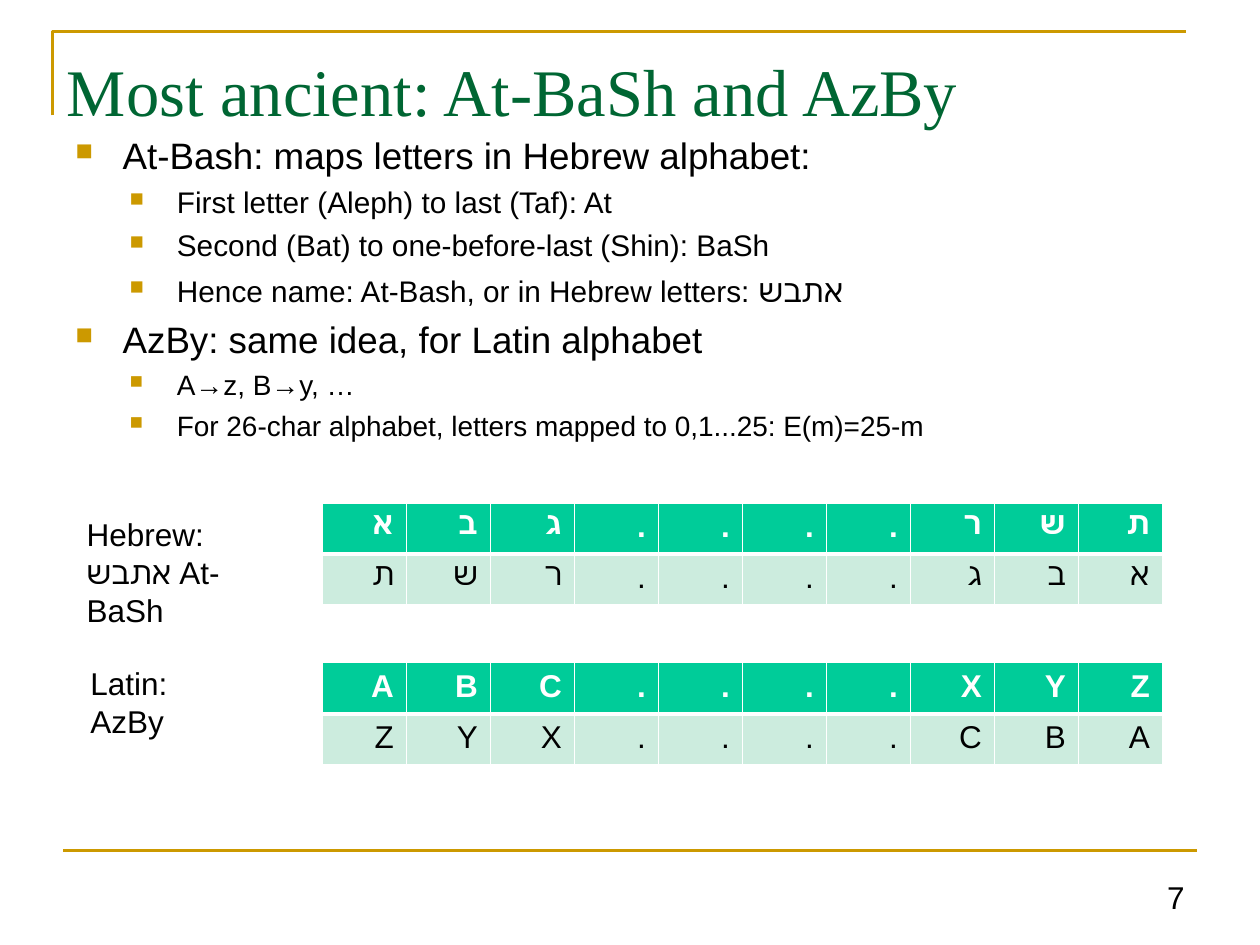
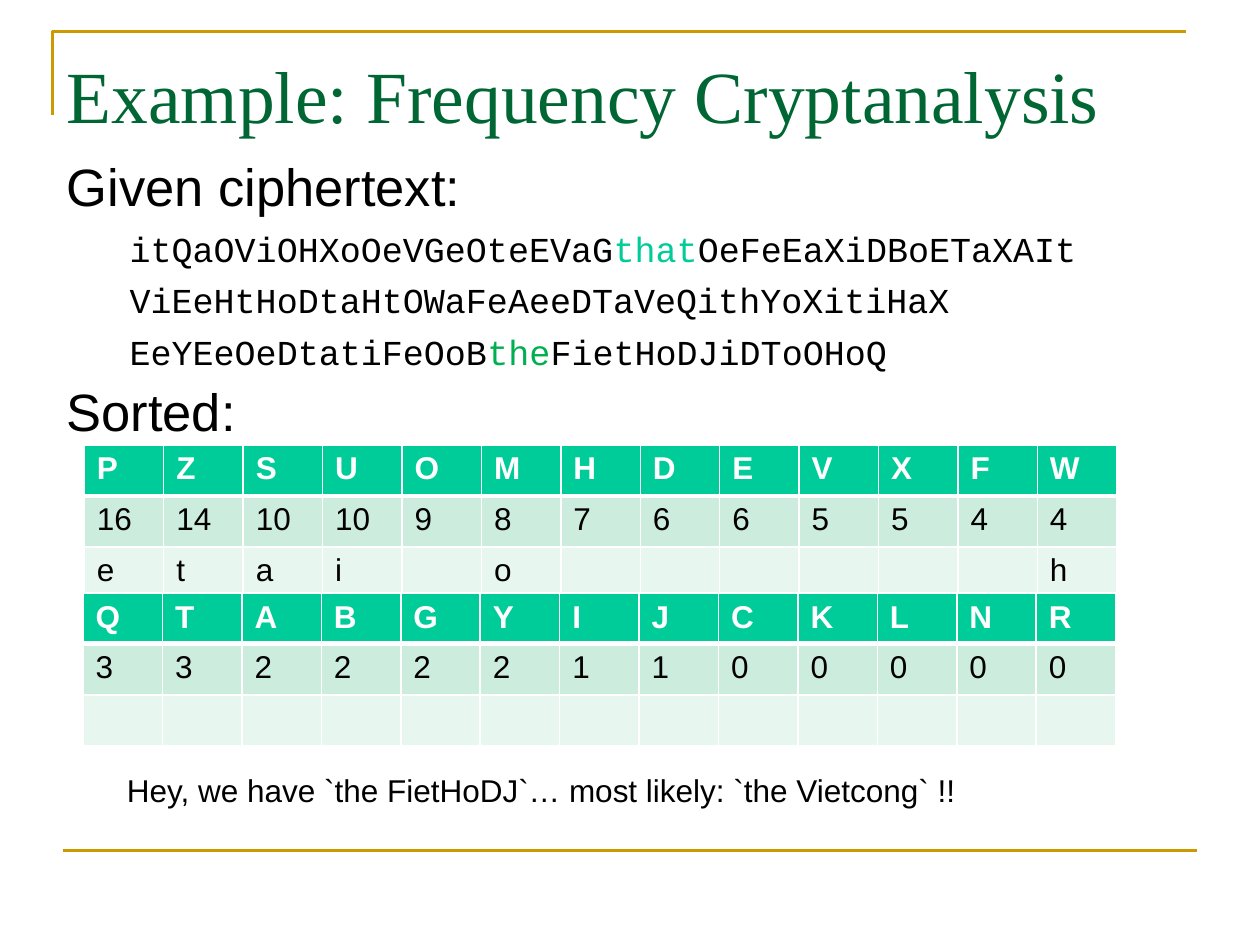
from dataclasses import dataclass
from typing import Optional

from lxml import etree
from pptx import Presentation
from pptx.dml.color import RGBColor
from pptx.enum import shapes, text
from pptx.oxml import ns
from pptx.util import Pt

COLORS = {
    "title": "006633",
    "rule": "CC9900",
    "ink": "000000",
    "white": "FFFFFF",
    "header": "00CC99",
    "band_dark": "CCECDE",
    "band_light": "E7F6EF",
    "found_that": "00CC99",
    "found_the": "00B050",
}
BODY_FONT, TITLE_FONT, CODE_FONT = "Arial", "Times New Roman", "Courier New"
TITLE_ONLY = 5


@dataclass(frozen=True)
class Box:
    left: float
    top: float
    width: float
    height: float

    def lengths(self) -> list:
        return [Pt(value) for value in (self.left, self.top, self.width, self.height)]


@dataclass(frozen=True)
class Span:
    text: str
    color: str = "ink"
    size: Optional[float] = None


@dataclass(frozen=True)
class Style:
    size: float
    font: str = BODY_FONT
    margin: float = 0
    indent: float = 0
    line_spacing: float = 1
    before: float = 0
    after: float = 0
    bullet: bool = False
    align: text.PP_ALIGN = text.PP_ALIGN.LEFT


@dataclass(frozen=True)
class Line:
    spans: tuple
    style: Style


@dataclass(frozen=True)
class Grid:
    box: Box
    rows: tuple
    row_heights: tuple
    align: text.PP_ALIGN = text.PP_ALIGN.LEFT


LABEL = Style(18)
PAGE_NUMBER = Style(18, align=text.PP_ALIGN.RIGHT)
POINT = Style(21, margin=27, indent=-27, line_spacing=1.05, after=2.6, bullet=True)
HEBREW_POINT = Style(17, margin=58, indent=-27, line_spacing=1.05, after=3.5, bullet=True)
LATIN_POINT = Style(16, margin=58, indent=-27, line_spacing=1.05, after=3.5, bullet=True)
HEADING = Style(30, margin=27, indent=-27, line_spacing=0.9, before=7.5)
CIPHERTEXT = Style(20, CODE_FONT, margin=58, indent=-22, line_spacing=0.9, before=8)


def line(content: str, style: Style) -> Line:
    return Line((Span(content),), style)


def rgb(name: str) -> RGBColor:
    return RGBColor.from_string(COLORS[name])


def set_font(run, name: str, size: float, color: str, bold: bool = False) -> None:
    run.font.name = name
    run.font.size = Pt(size)
    run.font.bold = bold
    run.font.color.rgb = rgb(color)


def add_xml(parent, tag: str, **attributes: str):
    return etree.SubElement(parent, ns.qn(tag), attributes)


def set_indent(paragraph, style: Style) -> None:
    properties = paragraph._p.get_or_add_pPr()
    properties.set("marL", str(Pt(style.margin)))
    properties.set("indent", str(Pt(style.indent)))
    if style.bullet:
        color = add_xml(properties, "a:buClr")
        add_xml(color, "a:srgbClr", val=COLORS["rule"])
        add_xml(properties, "a:buSzPct", val="65000")
        add_xml(properties, "a:buChar", char="■")
    else:
        add_xml(properties, "a:buNone")


def add_text(slide, box: Box, lines: list, anchor=text.MSO_ANCHOR.TOP) -> None:
    text_frame = slide.shapes.add_textbox(*box.lengths()).text_frame
    text_frame.word_wrap = True
    text_frame.vertical_anchor = anchor
    for index, item in enumerate(lines):
        paragraph = text_frame.add_paragraph() if index else text_frame.paragraphs[0]
        style = item.style
        set_indent(paragraph, style)
        paragraph.alignment = style.align
        paragraph.line_spacing = style.line_spacing
        paragraph.space_before = Pt(style.before if index else 0)
        paragraph.space_after = Pt(style.after)
        for span in item.spans:
            run = paragraph.add_run()
            run.text = span.text
            set_font(run, style.font, span.size or style.size, span.color)


def set_borders(cell, bottom: float) -> None:
    properties = cell._tc.get_or_add_tcPr()
    for side, width in (("L", 1), ("R", 1), ("T", 1), ("B", bottom)):
        border = add_xml(properties, f"a:ln{side}", w=str(Pt(width)))
        fill = add_xml(border, "a:solidFill")
        add_xml(fill, "a:srgbClr", val=COLORS["white"])


def add_grid(slide, grid: Grid) -> None:
    """Draw a table with a header row and alternating bands below it."""
    column_count = len(grid.rows[0])
    table = slide.shapes.add_table(
        len(grid.rows), column_count, *grid.box.lengths()
    ).table
    table.first_row = table.horz_banding = False
    for column in table.columns:
        column.width = Pt(grid.box.width / column_count)
    fills = ("header", "band_dark", "band_light")
    for row_index, values in enumerate(grid.rows):
        table.rows[row_index].height = Pt(grid.row_heights[row_index])
        is_header = row_index == 0
        for column_index, value in enumerate(values):
            cell = table.cell(row_index, column_index)
            set_borders(cell, 3 if is_header else 1)
            cell.fill.solid()
            cell.fill.fore_color.rgb = rgb(fills[row_index])
            paragraph = cell.text_frame.paragraphs[0]
            paragraph.text = value
            paragraph.alignment = grid.align
            for run in paragraph.runs:
                set_font(run, BODY_FONT, 18, "white" if is_header else "ink", is_header)


def style_rule(shape) -> None:
    shape.line.color.rgb = rgb("rule")
    shape.line.width = Pt(1.5)


def add_frame(slide) -> None:
    """Draw the corner rule around the title and the rule above the footer."""
    builder = slide.shapes.build_freeform(Pt(30), Pt(66))
    builder.add_line_segments([(Pt(30), Pt(18)), (Pt(678), Pt(18))], close=False)
    corner = builder.convert_to_shape()
    corner.shadow.inherit = False
    corner.fill.background()
    style_rule(corner)

    footer = slide.shapes.add_connector(
        shapes.MSO_CONNECTOR.STRAIGHT, Pt(36), Pt(486), Pt(684), Pt(486)
    )
    add_xml(footer._element.spPr, "a:effectLst")
    style_rule(footer)


def add_slide(presentation, title: str, title_size: float):
    slide = presentation.slides.add_slide(presentation.slide_layouts[TITLE_ONLY])
    add_frame(slide)
    shape = slide.shapes.title
    shape.left, shape.top, shape.width, shape.height = Box(31, 21.6, 653, 108).lengths()
    text_frame = shape.text_frame
    text_frame.text = title
    text_frame.auto_size = text.MSO_AUTO_SIZE.NONE
    text_frame.vertical_anchor = text.MSO_ANCHOR.TOP
    text_frame.margin_top = Pt(7)
    paragraph = text_frame.paragraphs[0]
    paragraph.alignment = text.PP_ALIGN.LEFT
    set_font(paragraph.runs[0], TITLE_FONT, title_size, "title")
    return slide


def build_ancient_ciphers(presentation) -> None:
    slide = add_slide(presentation, "Most ancient: At-BaSh and AzBy", 38)
    name_in_hebrew = Line(
        (
            Span("Hence name: At-Bash, or in Hebrew letters: "),
            Span("אתבש", size=18),
        ),
        HEBREW_POINT,
    )
    add_text(slide, Box(36, 71.3, 647, 410), [
        line("At-Bash: maps letters in Hebrew alphabet:", POINT),
        line("First letter (Aleph) to last (Taf): At", HEBREW_POINT),
        line("Second (Bat) to one-before-last (Shin): BaSh", HEBREW_POINT),
        name_in_hebrew,
        line("AzBy: same idea, for Latin alphabet", POINT),
        line("A→z, B→y, …", LATIN_POINT),
        line("For 26-char alphabet, letters mapped to 0,1...25: E(m)=25-m", LATIN_POINT),
    ])
    add_text(slide, Box(516, 492, 168, 35), [line("7", PAGE_NUMBER)],
             text.MSO_ANCHOR.BOTTOM)

    for alphabet, top in (("אבג....רשת", 287.3), ("ABC....XYZ", 378.7)):
        rows = (alphabet, alphabet[::-1])
        add_grid(slide, Grid(Box(184.3, top, 480, 58.4), rows, (29.2, 29.2),
                             text.PP_ALIGN.RIGHT))

    add_text(slide, Box(42.5, 291, 130, 51),
             [line("Hebrew:", LABEL), line("אתבש At-BaSh", LABEL)])
    add_text(slide, Box(44.6, 376, 60, 51),
             [line("Latin:", LABEL), line("AzBy", LABEL)])


def build_frequency_cryptanalysis(presentation) -> None:
    slide = add_slide(presentation, "Example: Frequency Cryptanalysis", 42)
    first_line = (
        Span("itQaOViOHXoOeVGeOteEVaG"),
        Span("that", "found_that"),
        Span("OeFeEaXiDBoETaXAIt"),
    )
    last_line = (
        Span("EeYEeOeDtatiFeOoB"),
        Span("the", "found_the"),
        Span("FietHoDJiDToOHoQ"),
    )
    add_text(slide, Box(31, 88.6, 678, 166), [
        line("Given ciphertext:", HEADING),
        Line(first_line, CIPHERTEXT),
        line("ViEeHtHoDtaHtOWaFeAeeDTaVeQithYoXitiHaX", CIPHERTEXT),
        Line(last_line, CIPHERTEXT),
        line("Sorted:", HEADING),
    ])

    frequent_counts = ("16", "14", "10", "10", *"987665544")
    guesses = dict(P="e", Z="t", S="a", U="i", M="o", W="h")
    grids = (
        (Box(48.2, 254.2, 590, 87.6), "PZSUOMHDEVXFW", frequent_counts, 29.2),
        (Box(47.5, 339, 590, 87), "QTABGYIJCKLNR", "3322221100000", 24),
    )
    for box, letters, counts, header_height in grids:
        guessed = [guesses.get(letter, "") for letter in letters]
        add_grid(slide, Grid(box, (letters, counts, guessed),
                             (header_height, 29.2, 29.2)))

    conclusion = "Hey, we have `the FietHoDJ`… most likely: `the Vietcong` !!"
    add_text(slide, Box(65.5, 437, 509, 29), [line(conclusion, LABEL)])


def main() -> None:
    presentation = Presentation()
    presentation.slide_width = Pt(720)
    presentation.slide_height = Pt(540)
    build_ancient_ciphers(presentation)
    build_frequency_cryptanalysis(presentation)
    presentation.save("out.pptx")


if __name__ == "__main__":
    main()
